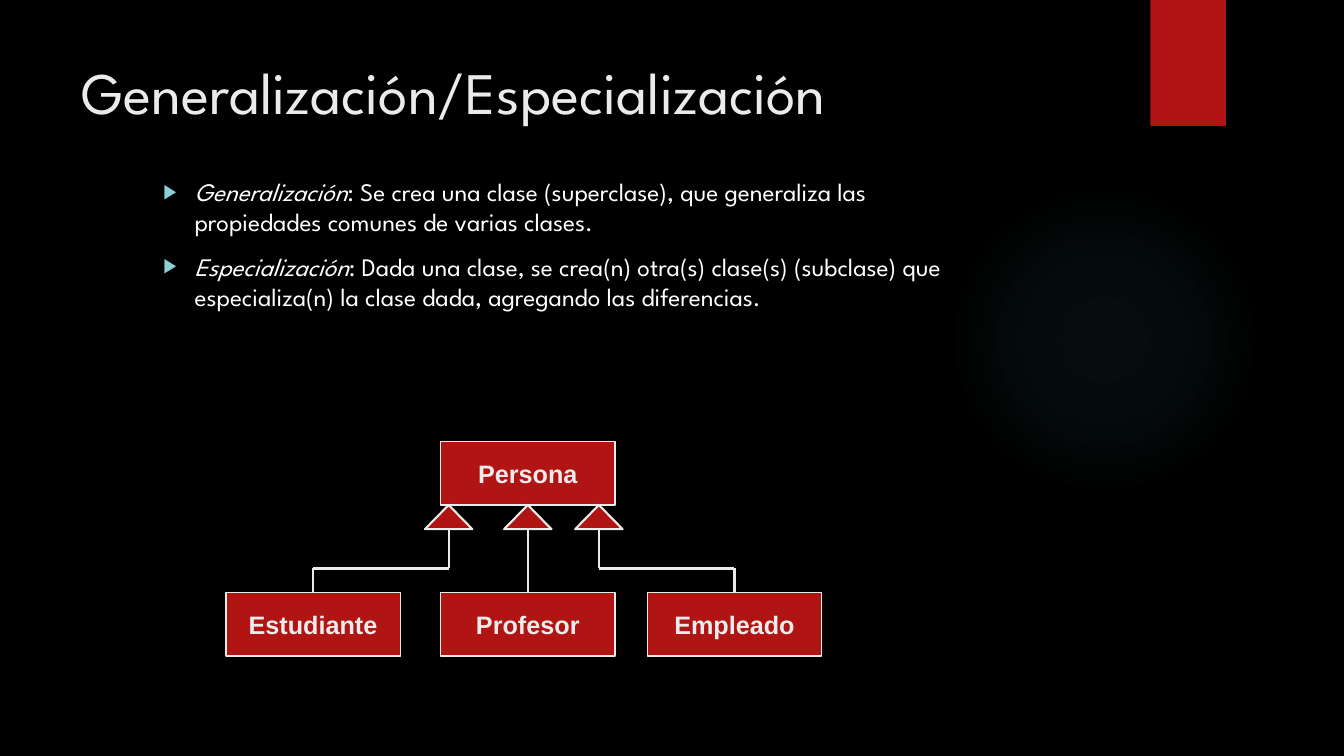
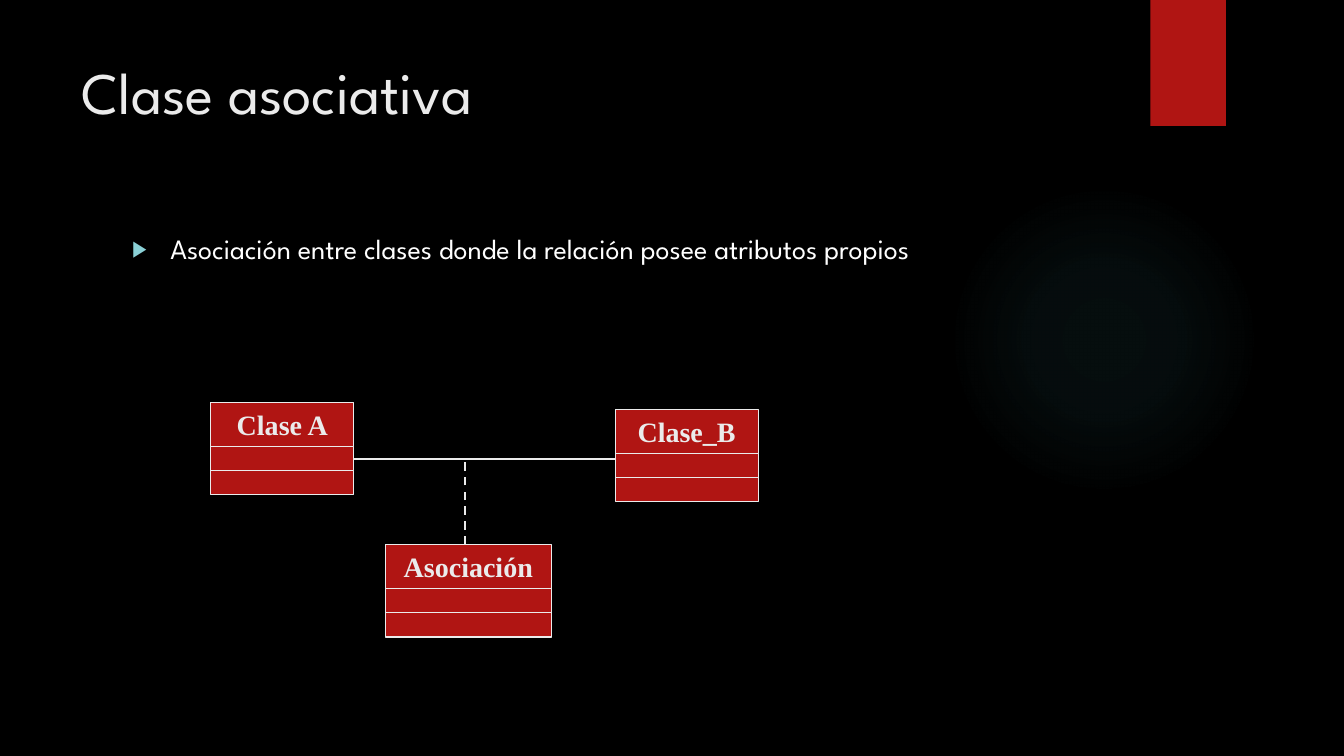
from pptx import Presentation
from pptx.dml.color import RGBColor
from pptx.enum.dml import MSO_LINE
from pptx.enum.shapes import MSO_CONNECTOR, MSO_SHAPE
from pptx.enum.text import MSO_ANCHOR, MSO_AUTO_SIZE, PP_ALIGN
from pptx.oxml import parse_xml
from pptx.oxml.ns import nsdecls
from pptx.util import Inches, Pt
from lxml import etree

BLACK = RGBColor(0x00, 0x00, 0x00)
WHITE = RGBColor(0xFF, 0xFF, 0xFF)
PALE = RGBColor(0xEB, 0xEB, 0xEB)
RED = RGBColor(0xB0, 0x15, 0x13)
AQUA = RGBColor(0x8A, 0xD0, 0xD6)
TEAL = RGBColor(0x50, 0xB9, 0xC1)

RECT = MSO_SHAPE.RECTANGLE
OVAL = MSO_SHAPE.OVAL
WEDGE = MSO_SHAPE.ISOSCELES_TRIANGLE
LINE = MSO_CONNECTOR.STRAIGHT
DASH = MSO_LINE.DASH
TOP = MSO_ANCHOR.TOP
MIDDLE = MSO_ANCHOR.MIDDLE
LEFT = PP_ALIGN.LEFT
CENTER = PP_ALIGN.CENTER
FIXED = MSO_AUTO_SIZE.NONE

MAIN = "League Spartan"
NS = "http://schemas.openxmlformats.org/drawingml/2006/main"
GLOW = ((0, 7), (36, 6), (69, 0))


class Deck:
    def __init__(self):
        self.file = Presentation()
        self.file.slide_width = Inches(13.33)
        self.file.slide_height = Inches(7.5)
        fill = self.file.slide_master.background.fill
        fill.solid()
        fill.fore_color.rgb = BLACK
        self.slide = None

    def start(self, title):
        self.slide = self.file.slides.add_slide(self.file.slide_layouts[1])
        self.glow()
        self.shape(RECT, 11.41, 0, 0.75, 1.25, 0)
        head = self.slide.shapes.title
        self.place(head, 0.71, 0.5, 10.29, 1.53)
        head.text_frame.text = title
        par = head.text_frame.paragraphs[0]
        par.alignment = LEFT
        self.style(par, MAIN, 42, PALE)

    def place(self, item, x, y, w, h):
        item.left, item.top = Inches(x), Inches(y)
        item.width, item.height = Inches(w), Inches(h)
        frame = item.text_frame
        frame.vertical_anchor = TOP
        frame.auto_size = FIXED
        frame.word_wrap = True

    def style(self, par, face, size, color, bold=False):
        font = par.font
        font.name, font.size, font.bold = face, Pt(size), bold
        font.color.rgb = color

    def glow(self):
        disc = self.shape(OVAL, 9.41, 1.83, 3.08, 3.08, 0, False)
        stops = "".join(
            f'<a:gs pos="{pos * 1000}"><a:srgbClr val="{TEAL}">'
            f'<a:alpha val="{alpha * 1000}"/></a:srgbClr></a:gs>'
            for pos, alpha in GLOW)
        disc.element.spPr.insert(2, parse_xml(
            f'<a:gradFill {nsdecls("a")}><a:gsLst>{stops}</a:gsLst>'
            '<a:path path="circle"><a:fillToRect l="50000" t="50000" '
            'r="50000" b="50000"/></a:path></a:gradFill>'))

    def shape(self, kind, x, y, w, h, edge, solid=True):
        item = self.slide.shapes.add_shape(
            kind, Inches(x), Inches(y), Inches(w), Inches(h))
        item.shadow.inherit = False
        if solid:
            item.fill.solid()
            item.fill.fore_color.rgb = RED
        if edge:
            item.line.color.rgb = PALE
            item.line.width = Pt(edge)
        else:
            item.line.fill.background()
        return item

    def box(self, text, x, y, w, h, edge, face, size):
        item = self.shape(RECT, x, y, w, h, edge)
        frame = item.text_frame
        frame.text = text
        frame.word_wrap = False
        frame.vertical_anchor = MIDDLE
        par = frame.paragraphs[0]
        par.alignment = CENTER
        self.style(par, face, size, PALE, True)
        return item

    def line(self, start, end, dash=False):
        item = self.slide.shapes.add_connector(
            LINE, *(Inches(v) for v in (*start, *end)))
        item.line.color.rgb = PALE
        item.line.width = Pt(1.5)
        if dash:
            item.line.dash_style = DASH
        etree.SubElement(item.element.spPr, f"{{{NS}}}effectLst")
        return item

    def group(self, items):
        self.slide.shapes.add_group_shape(items)

    def bullets(self, items, x, y, w, h, size, left, hang, level=0):
        body = self.slide.placeholders[1]
        self.place(body, x, y, w, h)
        frame = body.text_frame
        for num, (term, text) in enumerate(items):
            par = frame.add_paragraph() if num else frame.paragraphs[0]
            par.level = level
            par.space_before = Pt(10)
            if term:
                run = par.add_run()
                run.text = term
                run.font.italic = True
            par.add_run().text = text
            self.mark(par, left, hang)
            self.style(par, MAIN, size, WHITE)

    def mark(self, par, left, hang):
        props = par._p.get_or_add_pPr()
        props.set("marL", str(Inches(left)))
        props.set("indent", str(-Inches(hang)))
        tint = etree.SubElement(props, f"{{{NS}}}buClr")
        etree.SubElement(tint, f"{{{NS}}}srgbClr", val=str(AQUA))
        etree.SubElement(props, f"{{{NS}}}buSzPct", val="80000")
        etree.SubElement(props, f"{{{NS}}}buFont", typeface="Arial")
        etree.SubElement(props, f"{{{NS}}}buChar", char="▶")

    def person(self, text, x, y):
        return self.box(text, x, y, 1.73, 0.63, 1, "Arial", 18)

    def inherit(self, child, x, tip):
        wide, high, bend = 0.47, 0.24, 5.64
        base = tip + high
        foot = (child.left + child.width / 2) / Inches(1)
        top = child.top / Inches(1)
        parts = [self.shape(WEDGE, x - wide / 2, tip, wide, high, 1.5)]
        points = [(x, base), (foot, top)]
        if abs(x - foot) > 0.01:
            points[1:1] = [(x, bend), (foot, bend)]
        for start, end in zip(points, points[1:]):
            parts.append(self.line(start, end))
        parts[-1].end_connect(child, 0)
        self.group(parts)

    def entity(self, text, x, y, w):
        head, row = 0.44, 0.24
        parts = [self.box(text, x, y, w, head, 0.75, "Times New Roman", 20)]
        for num in range(2):
            top = y + head + num * row
            parts.append(self.shape(RECT, x, top, w, row, 0.75))
        self.group(parts)
        return parts


def main():
    deck = Deck()

    deck.start("Generalización/Especialización")
    deck.bullets([
        ("Generalización", ": Se crea una clase (superclase), que generaliza "
         "las propiedades comunes de varias clases."),
        ("Especialización", ": Dada una clase, se crea(n) otra(s) clase(s) "
         "(subclase) que especializa(n) la clase dada, agregando las "
         "diferencias."),
    ], 1.02, 1.7, 8.43, 5.35, 18, 0.81, 0.31, 1)
    deck.person("Persona", 4.37, 4.38)
    for text, left, tip in (("Estudiante", 2.24, 4.45),
                            ("Profesor", 4.37, 5.235),
                            ("Empleado", 6.42, 5.94)):
        deck.inherit(deck.person(text, left, 5.88), tip, 5.01)

    deck.start("Clase asociativa")
    deck.bullets([
        ("", "Asociación entre clases donde la relación posee atributos "
         "propios"),
    ], 1.21, 2.25, 9.78, 4.59, 20, 0.38, 0.38)
    first = deck.entity("Clase A", 2.09, 3.99, 1.42)
    deck.entity("Asociación", 3.82, 5.4, 1.65)
    deck.entity("Clase_B", 6.1, 4.06, 1.42)
    link = deck.line((3.51, 4.55), (6.1, 4.55))
    link.begin_connect(first[1], 3)
    deck.line((4.61, 5.4), (4.61, 4.55), True)

    deck.file.save("out.pptx")


if __name__ == "__main__":
    main()
